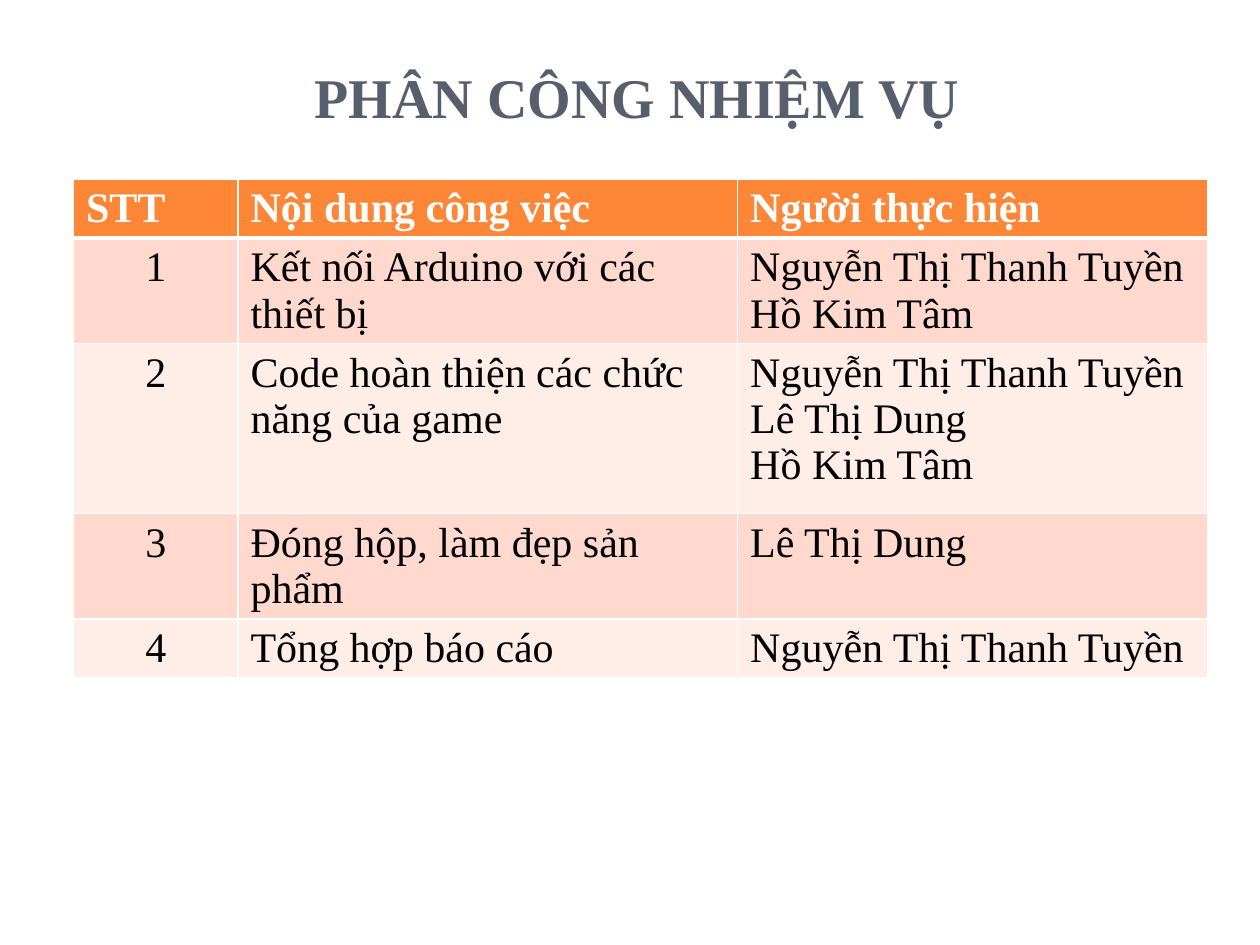
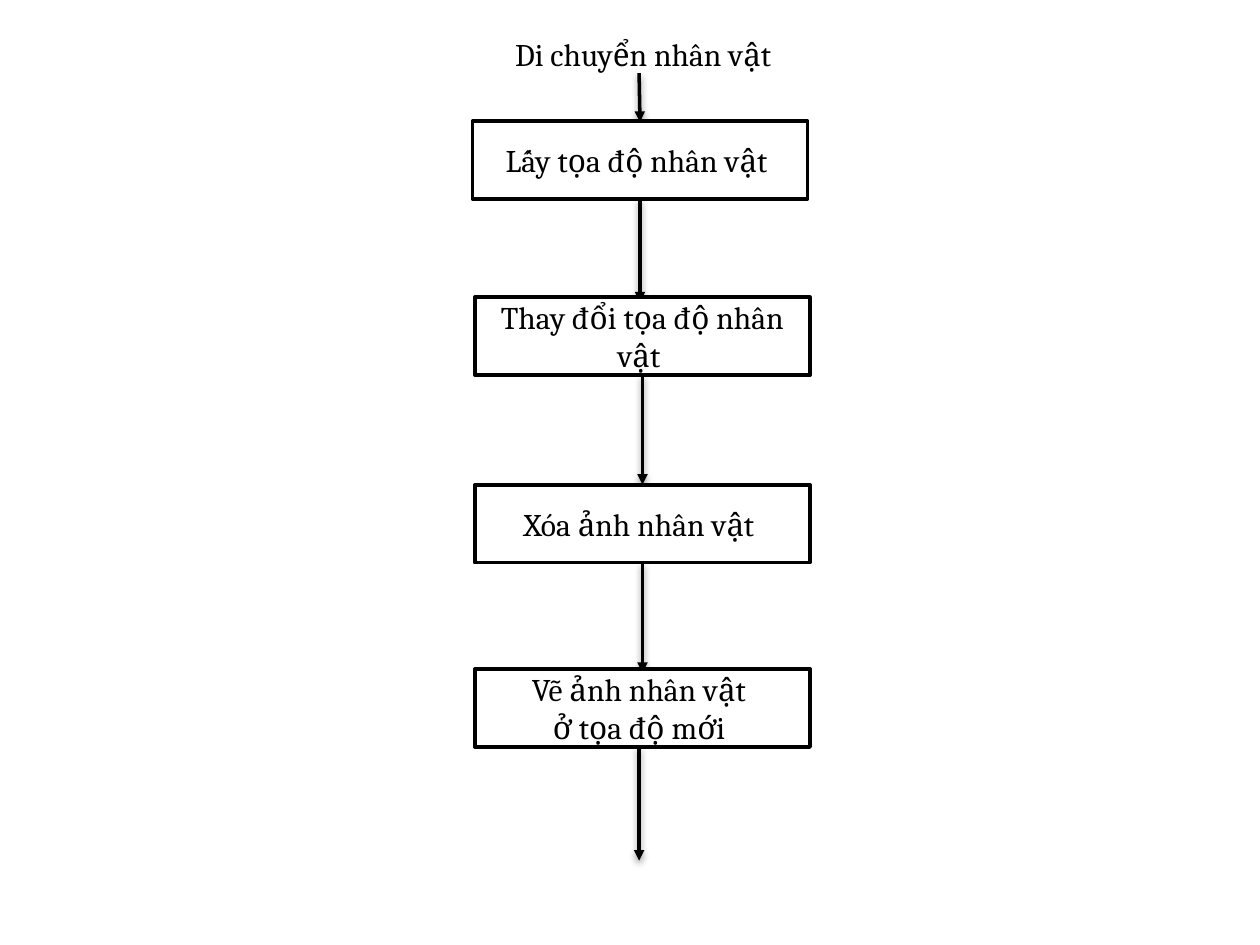
from lxml.etree import SubElement
from pptx import Presentation
from pptx.dml.color import RGBColor
from pptx.enum.shapes import MSO_CONNECTOR as Connector, MSO_SHAPE as Shape
from pptx.enum.text import MSO_ANCHOR as Anchor, MSO_AUTO_SIZE as AutoSize, PP_ALIGN as Align
from pptx.oxml import parse_xml
from pptx.oxml.ns import nsdecls, qn
from pptx.util import Pt

BLACK, WHITE = "000000", "FFFFFF"
TITLE_COLOUR = "575F6D"
HEADER_FILL = "FE8637"
BAND_FILLS = ("FFD9CE", "FFEDE8")
TITLE_ONLY, BLANK = 5, 6
SERIF, FLOW_FONT = "Times New Roman", "Cambria"

COLUMN_WIDTHS = (94, 285.5, 268.5)
ROW_HEIGHTS = (33.3, 60.2, 97.2, 60.2, 33.3)
TASKS = (
    ("STT", "Nội dung công việc", "Người thực hiện"),
    ("1", "Kết nối Arduino với các thiết bị", "Nguyễn Thị Thanh Tuyền\nHồ Kim Tâm"),
    ("2", "Code hoàn thiện các chức năng của game",
     "Nguyễn Thị Thanh Tuyền\nLê Thị Dung\nHồ Kim Tâm"),
    ("3", "Đóng hộp, làm đẹp sản phẩm", "Lê Thị Dung"),
    ("4", "Tổng hợp báo cáo", "Nguyễn Thị Thanh Tuyền"),
)

STEP_WIDTH, STEP_HEIGHT = 191.5, 44.6
# text, left, top, how far the incoming arrow reaches under the box
STEPS = (
    ("Lấy tọa độ nhân vật ", 270, 69.2, 0.5),
    ("Thay đổi tọa độ nhân vật ", 271.4, 169.8, 3),
    ("Xóa ảnh nhân vật ", 271.4, 277, 0),
    ("Vẽ ảnh nhân vật \nở tọa độ mới ", 271.4, 382.3, 2.2),
)
FLOW_START, FLOW_END = (365.2, 41.8), (365.2, 491.8)


def colour(hex_code):
    return RGBColor.from_string(hex_code)


def format_text(frame, size, font, hex_code, bold=False, align=Align.LEFT):
    for para in frame.paragraphs:
        para.alignment = align
        for span in para.runs:
            span.font.size = Pt(size)
            span.font.name = font
            span.font.bold = bold
            span.font.color.rgb = colour(hex_code)


def add_title(page, text):
    title = page.shapes.title
    title.left, title.top, title.width, title.height = Pt(13), Pt(18), Pt(702), Pt(60)
    frame = title.text_frame
    frame.text = text
    frame.auto_size = AutoSize.NONE
    frame.vertical_anchor = Anchor.BOTTOM
    format_text(frame, 32, SERIF, TITLE_COLOUR, bold=True, align=Align.CENTER)


def set_borders(cell, bottom_width):
    properties = cell._tc.get_or_add_tcPr()
    widths = {"lnL": 1, "lnR": 1, "lnT": 1, "lnB": bottom_width}
    for position, (side, width) in enumerate(widths.items()):
        properties.insert(position, parse_xml(
            f'<a:{side} {nsdecls("a")} w="{Pt(width)}"><a:solidFill>'
            f'<a:srgbClr val="{WHITE}"/></a:solidFill></a:{side}>'))


def add_task_table(page, left, top):
    table = page.shapes.add_table(
        len(TASKS), len(COLUMN_WIDTHS), Pt(left), Pt(top),
        Pt(sum(COLUMN_WIDTHS)), Pt(sum(ROW_HEIGHTS))).table
    for column, width in zip(table.columns, COLUMN_WIDTHS):
        column.width = Pt(width)
    for row_index, (row, height) in enumerate(zip(table.rows, ROW_HEIGHTS)):
        row.height = Pt(height)
        header = row_index == 0
        for column_index, cell in enumerate(row.cells):
            cell.text = TASKS[row_index][column_index]
            cell.fill.solid()
            cell.fill.fore_color.rgb = colour(
                HEADER_FILL if header else BAND_FILLS[(row_index - 1) % 2])
            centred = column_index == 0 and not header
            format_text(cell.text_frame, 24, SERIF, WHITE if header else BLACK,
                        bold=header, align=Align.CENTER if centred else Align.LEFT)
            set_borders(cell, 3 if header else 1)


def add_label(page, text, left, top, width, height):
    box = page.shapes.add_textbox(Pt(left), Pt(top), Pt(width), Pt(height))
    box.text_frame.word_wrap = True
    box.text_frame.text = text
    format_text(box.text_frame, 18, FLOW_FONT, BLACK)


def add_step(page, text, left, top):
    box = page.shapes.add_shape(Shape.RECTANGLE, Pt(left), Pt(top),
                                Pt(STEP_WIDTH), Pt(STEP_HEIGHT))
    box.shadow.inherit = False
    box.fill.solid()
    box.fill.fore_color.rgb = colour(WHITE)
    box.line.color.rgb = colour(BLACK)
    box.line.width = Pt(2)
    box.text_frame.word_wrap = True
    box.text_frame.vertical_anchor = Anchor.MIDDLE
    box.text_frame.text = text
    format_text(box.text_frame, 18, FLOW_FONT, BLACK, align=Align.CENTER)


def add_arrow(page, start, end):
    """Draw a black arrow with a soft shadow below it."""
    arrow = page.shapes.add_connector(Connector.STRAIGHT, *map(Pt, start + end))
    arrow.line.color.rgb = colour(BLACK)
    arrow.line.width = Pt(2)
    SubElement(arrow.line._get_or_add_ln(), qn("a:tailEnd"), type="triangle")
    arrow._element.spPr.append(parse_xml(
        f'<a:effectLst {nsdecls("a")}><a:outerShdw blurRad="{Pt(4)}" dist="{Pt(2)}" '
        f'dir="5400000" rotWithShape="0"><a:srgbClr val="{BLACK}">'
        '<a:alpha val="40000"/></a:srgbClr></a:outerShdw></a:effectLst>'))


def add_flow(page):
    """Draw the arrows first, so that the boxes cover their overlapping ends."""
    start = FLOW_START
    for _, left, top, overlap in STEPS:
        centre = left + STEP_WIDTH / 2
        add_arrow(page, start, (centre if start == FLOW_START else start[0], top + overlap))
        start = (centre, top + STEP_HEIGHT)
    add_arrow(page, (FLOW_END[0], start[1]), FLOW_END)
    for text, left, top, _ in STEPS:
        add_step(page, text, left, top)


def main():
    deck = Presentation()
    deck.slide_width, deck.slide_height = Pt(720), Pt(540)

    page = deck.slides.add_slide(deck.slide_layouts[TITLE_ONLY])
    add_title(page, "PHÂN CÔNG NHIỆM VỤ")
    add_task_table(page, 42, 102.2)

    page = deck.slides.add_slide(deck.slide_layouts[BLANK])
    add_label(page, "Di chuyển nhân vật", 287.3, 16.6, 289.4, 28.8)
    add_flow(page)

    deck.save("out.pptx")


if __name__ == "__main__":
    main()
